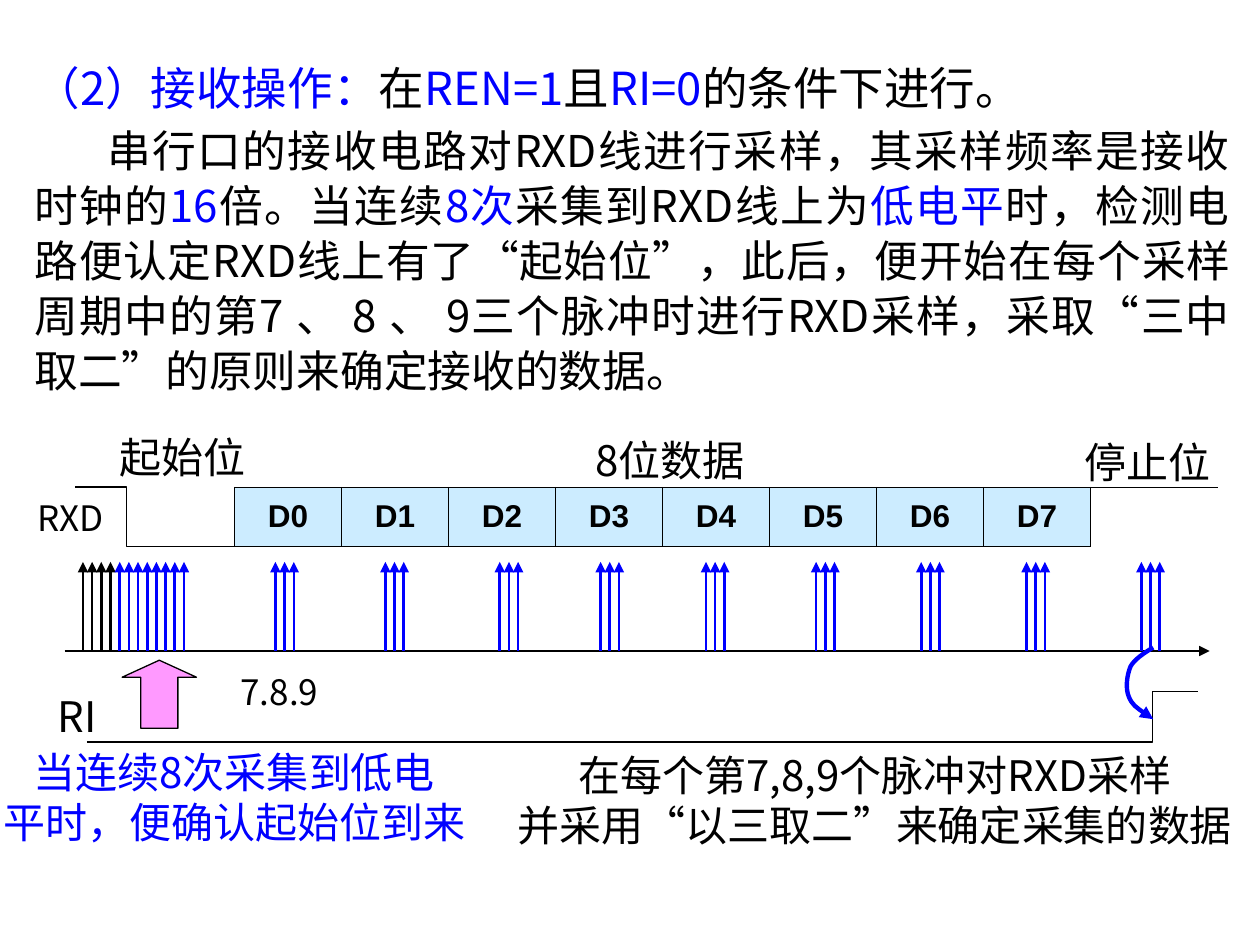
import pptx
import pptx.dml.color
import pptx.enum.shapes
import pptx.enum.text
import pptx.oxml
import pptx.oxml.ns
import pptx.util

Pt = pptx.util.Pt
RGBColor = pptx.dml.color.RGBColor
ALIGN = pptx.enum.text.PP_ALIGN
ANCHOR = pptx.enum.text.MSO_ANCHOR
CONNECTOR = pptx.enum.shapes.MSO_CONNECTOR
qn = pptx.oxml.ns.qn

BLACK = RGBColor(0x00, 0x00, 0x00)
BLUE = RGBColor(0x00, 0x00, 0xFF)
PINK = RGBColor(0xFF, 0x99, 0xFF)
LIGHT_BLUE = RGBColor(0xCC, 0xEC, 0xFF)
CJK_FONT = "Noto Sans CJK SC"

# Each run is (text, colour)
HEADING = [("（2）接收操作：", BLUE), ("在", BLACK), ("REN=1", BLUE), ("且", BLACK),
           ("RI=0", BLUE), ("的条件下进行。", BLACK)]
LOOSE_TEXT = "电路便认定RXD线上有了“起始位”，此后，便开始在每个"
EXPLANATION = [
    ("串行口的接收电路对RXD线进行采样，其采样频率是接收时钟的", BLACK),
    ("16", BLUE), ("倍。当连续", BLACK), ("8次", BLUE),
    ("采集到RXD线上为", BLACK), ("低电平", BLUE),
    ("时，检测", BLACK), (LOOSE_TEXT, BLACK),
    ("采样周期中的第7 、 8 、 9三个脉冲时进行RXD采样，采取“三中取二”的原则来确定接收的数据。",
     BLACK),
]

# (text, left, top, width, height)
PART_LABELS = [("起始位", 54.1, 245.6, 100, 31), ("8位数据", 320.4, 248.5, 125.3, 28),
               ("停止位", 605.6, 248.5, 100, 31)]
# (text, size, left, top, width, height)
SIGNAL_LABELS = [("7.8.9", 20, 130.3, 379.4, 60.5, 31.7),
                 ("RI", 24, 25.9, 391, 43.9, 36),
                 ("RXD", 20, 14.4, 280.1, 66.2, 31)]
# (lines, colour, left, top, width, height)
NOTES = [
    (["当连续8次采集到低电", "平时，便确认起始位到来"], BLUE, -11.1, 419.8, 290, 70.6),
    (["在每个第7,8,9个脉冲对RXD采样", "并采用“以三取二”来确定采集的数据"],
     BLACK, 282, 428.4, 436, 56.9),
]

DATA_BITS = [f"D{bit}" for bit in range(8)]
BITS_LEFT, BITS_TOP, BIT_WIDTH, BIT_HEIGHT = 134, 278.4, 61.15, 33.9

AXIS_Y, PULSE_TOP, PULSE_STEP = 372, 321.1, 5.25
IDLE_PULSES, START_PULSES, START_LEFT = 4, 8, 47.4
SAMPLE_LEFTS = [157.4, 220.2, 285.6, 343.2, 403.4, 466.4, 526.4, 586.6, 652.2]

# Start point, then three control points for each curve segment
RECEIVE_CURVE = [(658.8, 370.1), (653.8, 373), (648, 376.6), (645.8, 380.9),
                 (643.7, 385.9), (643, 393.1), (645.1, 398.2),
                 (647.3, 403.2), (653, 406.8), (658.8, 411.1)]


def format_text(paragraph, text, *, size, color=BLACK, font=CJK_FONT, bold=False):
    """Append a run, with the same font for Latin and East Asian text."""
    run = paragraph.add_run()
    run.text = text
    run.font.size = Pt(size)
    run.font.bold = bold
    run.font.color.rgb = color
    run.font.name = font
    properties = run.font._element
    properties.set("lang", "zh-CN")
    properties.find(qn("a:latin")).addnext(
        pptx.oxml.parse_xml(f'<a:ea {pptx.oxml.ns.nsdecls("a")} typeface="{font}"/>'))


def add_text_box(slide, paragraphs, left, top, width, height, *, size, align=ALIGN.LEFT,
                 anchor=ANCHOR.TOP, wrap=True, line_spacing=None, top_inset=3.6):
    """Add a box whose paragraphs are lists of (text, colour) runs."""
    box = slide.shapes.add_textbox(Pt(left), Pt(top), Pt(width), Pt(height))
    frame = box.text_frame
    frame.word_wrap = wrap
    frame.vertical_anchor = anchor
    frame.margin_top = Pt(top_inset)
    for index, runs in enumerate(paragraphs):
        paragraph = frame.paragraphs[0] if index == 0 else frame.add_paragraph()
        paragraph.alignment = align
        if line_spacing:
            paragraph.line_spacing = Pt(line_spacing)
        for text, color in runs:
            format_text(paragraph, text, size=size, color=color)
    return box


def style_line(shape, color, width, arrow=False):
    shape.line.color.rgb = color
    shape.line.width = Pt(width)
    if arrow:
        shape.line._get_or_add_ln().append(pptx.oxml.parse_xml(
            f'<a:tailEnd {pptx.oxml.ns.nsdecls("a")} type="triangle"/>'))


def add_line(slide, start, end, *, color=BLACK, width=0.75, arrow=False, bend=None):
    """Add a straight line, or an elbow that turns at the fraction bend."""
    kind = CONNECTOR.STRAIGHT if bend is None else CONNECTOR.ELBOW
    line = slide.shapes.add_connector(kind, *(Pt(value) for value in start + end))
    style_line(line, color, width, arrow)
    properties = line._element.spPr
    properties.append(pptx.oxml.parse_xml(f'<a:effectLst {pptx.oxml.ns.nsdecls("a")}/>'))
    if bend is not None:
        guides = properties.find(qn("a:prstGeom")).get_or_add_avLst()
        guides.append(pptx.oxml.parse_xml(
            f'<a:gd {pptx.oxml.ns.nsdecls("a")} name="adj1" fmla="val {round(bend * 100000)}"/>'))


def add_pulses(slide, left, count, color):
    for index in range(count):
        x = left + index * PULSE_STEP
        add_line(slide, (x, AXIS_Y), (x, PULSE_TOP), color=color, width=1.5, arrow=True)


def add_data_bits(slide):
    table = slide.shapes.add_table(
        1, len(DATA_BITS), Pt(BITS_LEFT), Pt(BITS_TOP),
        Pt(BIT_WIDTH * len(DATA_BITS)), Pt(BIT_HEIGHT)).table
    table.first_row = table.horz_banding = False
    table.rows[0].height = Pt(BIT_HEIGHT)
    for column, bit in enumerate(DATA_BITS):
        table.columns[column].width = Pt(BIT_WIDTH)
        cell = table.cell(0, column)
        cell.vertical_anchor = ANCHOR.MIDDLE
        cell.fill.solid()
        cell.fill.fore_color.rgb = LIGHT_BLUE
        paragraph = cell.text_frame.paragraphs[0]
        paragraph.alignment = ALIGN.CENTER
        format_text(paragraph, bit, size=18, font="Arial", bold=True)
        for index, side in enumerate(("lnL", "lnR", "lnT", "lnB")):
            cell._tc.get_or_add_tcPr().insert(index, pptx.oxml.parse_xml(
                f'<a:{side} {pptx.oxml.ns.nsdecls("a")} w="{Pt(0.5)}">'
                f'<a:solidFill><a:srgbClr val="{BLACK}"/></a:solidFill></a:{side}>'))


def add_curved_arrow(slide, points):
    builder = slide.shapes.build_freeform(*points[0], scale=Pt(1))
    builder.add_line_segments(points[1:], close=False)
    curve = builder.convert_to_shape()
    curve.shadow.inherit = False
    curve.fill.background()
    style_line(curve, BLUE, 2.5, arrow=True)
    outline = curve._element.spPr.find(".//" + qn("a:path"))
    segments = outline.findall(qn("a:lnTo"))
    for first in range(0, len(segments), 3):
        bezier = pptx.oxml.parse_xml(f'<a:cubicBezTo {pptx.oxml.ns.nsdecls("a")}/>')
        outline.append(bezier)
        for segment in segments[first:first + 3]:
            bezier.append(segment[0])
            outline.remove(segment)


def main():
    presentation = pptx.Presentation()
    presentation.slide_width, presentation.slide_height = Pt(720), Pt(540)
    slide = presentation.slides.add_slide(presentation.slide_layouts[6])

    body = add_text_box(slide, [HEADING, EXPLANATION], 12.7, 28.8, 697.2, 208.1, size=25,
                        align=ALIGN.JUSTIFY, line_spacing=31.4, top_inset=5.5)
    heading, explanation = body.text_frame.paragraphs
    for run in heading.runs:
        run.font.size = Pt(26)
    explanation.space_before = Pt(3.75)
    explanation._p.get_or_add_pPr().set("indent", str(Pt(41.5)))
    for run in explanation.runs:
        if run.text == LOOSE_TEXT:
            run.font._element.set("spc", "30")

    add_line(slide, (43, BITS_TOP), (144.7, BITS_TOP + BIT_HEIGHT), bend=0.288)
    add_data_bits(slide)
    add_line(slide, (623.2, BITS_TOP), (696.2, BITS_TOP))
    for text, *place in PART_LABELS:
        add_text_box(slide, [[(text, BLACK)]], *place, size=24, align=ALIGN.CENTER,
                     anchor=ANCHOR.MIDDLE, wrap=False)

    add_line(slide, (36.9, AXIS_Y), (691.2, AXIS_Y), width=1.5, arrow=True)
    add_pulses(slide, START_LEFT, IDLE_PULSES, BLACK)
    add_pulses(slide, START_LEFT + IDLE_PULSES * PULSE_STEP, START_PULSES, BLUE)
    for left in SAMPLE_LEFTS:
        add_pulses(slide, left, 3, BLUE)

    add_line(slide, (49.7, 424.1), (684.7, 395.3), bend=0.959)
    arrow = slide.shapes.add_shape(pptx.enum.shapes.MSO_SHAPE.UP_ARROW,
                                   Pt(69.8), Pt(377.3), Pt(42.5), Pt(38.9))
    arrow.adjustments[0], arrow.adjustments[1] = 0.5, 0.25
    arrow.shadow.inherit = False
    arrow.fill.solid()
    arrow.fill.fore_color.rgb = PINK
    style_line(arrow, BLACK, 0.75)
    add_curved_arrow(slide, RECEIVE_CURVE)

    for text, size, *place in SIGNAL_LABELS:
        add_text_box(slide, [[(text, BLACK)]], *place, size=size)
    for lines, color, *place in NOTES:
        add_text_box(slide, [[(line, color)] for line in lines], *place, size=24,
                     align=ALIGN.CENTER, anchor=ANCHOR.MIDDLE, wrap=False,
                     line_spacing=28.6)
    presentation.save("out.pptx")


if __name__ == "__main__":
    main()
